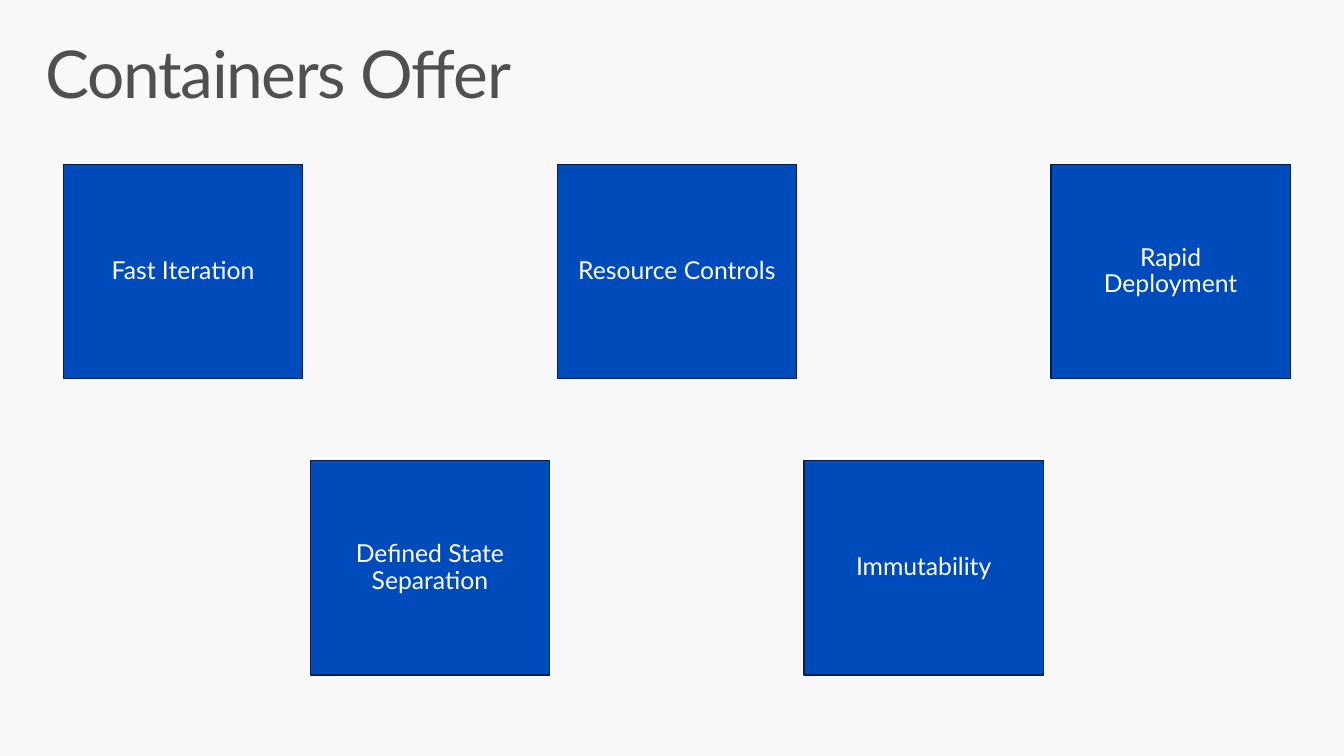
from pptx import Presentation
from pptx.dml.color import RGBColor
from pptx.enum.shapes import MSO_SHAPE
from pptx.enum.text import MSO_ANCHOR, PP_ALIGN
from pptx.util import Cm, Pt

RECTANGLE = MSO_SHAPE.RECTANGLE
TOP, MIDDLE = MSO_ANCHOR.TOP, MSO_ANCHOR.MIDDLE
LEFT, CENTER = PP_ALIGN.LEFT, PP_ALIGN.CENTER

FONT = "Lato"
COLORS = {
    "background": "F8F8F8",
    "title": "505050",
    "tile": "004BBC",
    "border": "002050",
    "label": "FFFFFF",
}


def color(name):
    return RGBColor.from_string(COLORS[name])


def write(shape, text, size, color_name, align, anchor, inset_x, inset_y):
    frame = shape.text_frame
    frame.word_wrap = True
    frame.vertical_anchor = anchor
    frame.margin_left = frame.margin_right = Cm(inset_x)
    frame.margin_top = frame.margin_bottom = Cm(inset_y)
    para = frame.paragraphs[0]
    para.alignment = align
    para.line_spacing = 0.9
    span = para.add_run()
    span.text = text
    span.font.name = FONT
    span.font.size = Pt(size)
    span.font.color.rgb = color(color_name)
    return span


deck = Presentation()
deck.slide_width = Cm(34.54)
deck.slide_height = Cm(19.43)
page = deck.slides.add_slide(deck.slide_layouts[6])
page.background.fill.solid()
page.background.fill.fore_color.rgb = color("background")

title_box = page.shapes.add_textbox(Cm(0.76), Cm(0.81), Cm(33.02), Cm(2.54))
title = write(title_box, "Containers Offer", 48, "title", LEFT, TOP, 0.41, 0.25)
title.font._element.set("spc", "-100")

TILE_WIDTH, TILE_HEIGHT = 6.15, 5.51
FIRST_LEFT, FIRST_TOP = 1.63, 4.22
COLUMN_STEP, ROW_STEP = 12.69, 7.62
ROWS = [
    ["Fast Iteration", "Resource Controls", "Rapid Deployment"],
    ["Defined State Separation", "Immutability"],
]

for row, benefits in enumerate(ROWS):
    for column, benefit in enumerate(benefits):
        left = FIRST_LEFT + (column + row / 2) * COLUMN_STEP
        top = FIRST_TOP + row * ROW_STEP
        tile = page.shapes.add_shape(
            RECTANGLE, Cm(left), Cm(top), Cm(TILE_WIDTH), Cm(TILE_HEIGHT)
        )
        tile.shadow.inherit = False
        tile.fill.solid()
        tile.fill.fore_color.rgb = color("tile")
        tile.line.color.rgb = color("border")
        tile.line.width = Pt(0.85)
        write(tile, benefit, 18, "label", CENTER, MIDDLE, 0.5, 0.41)

deck.save("out.pptx")
